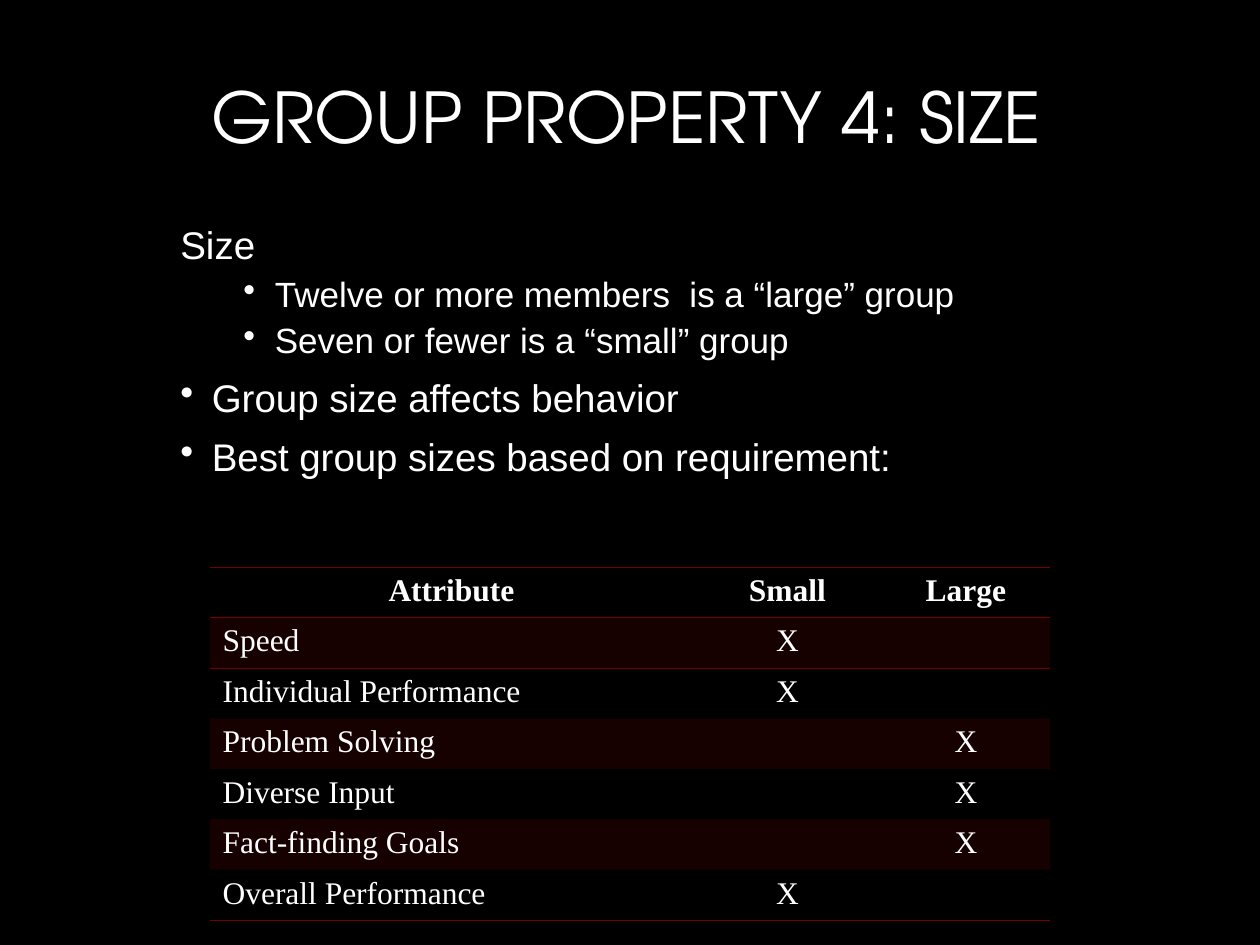
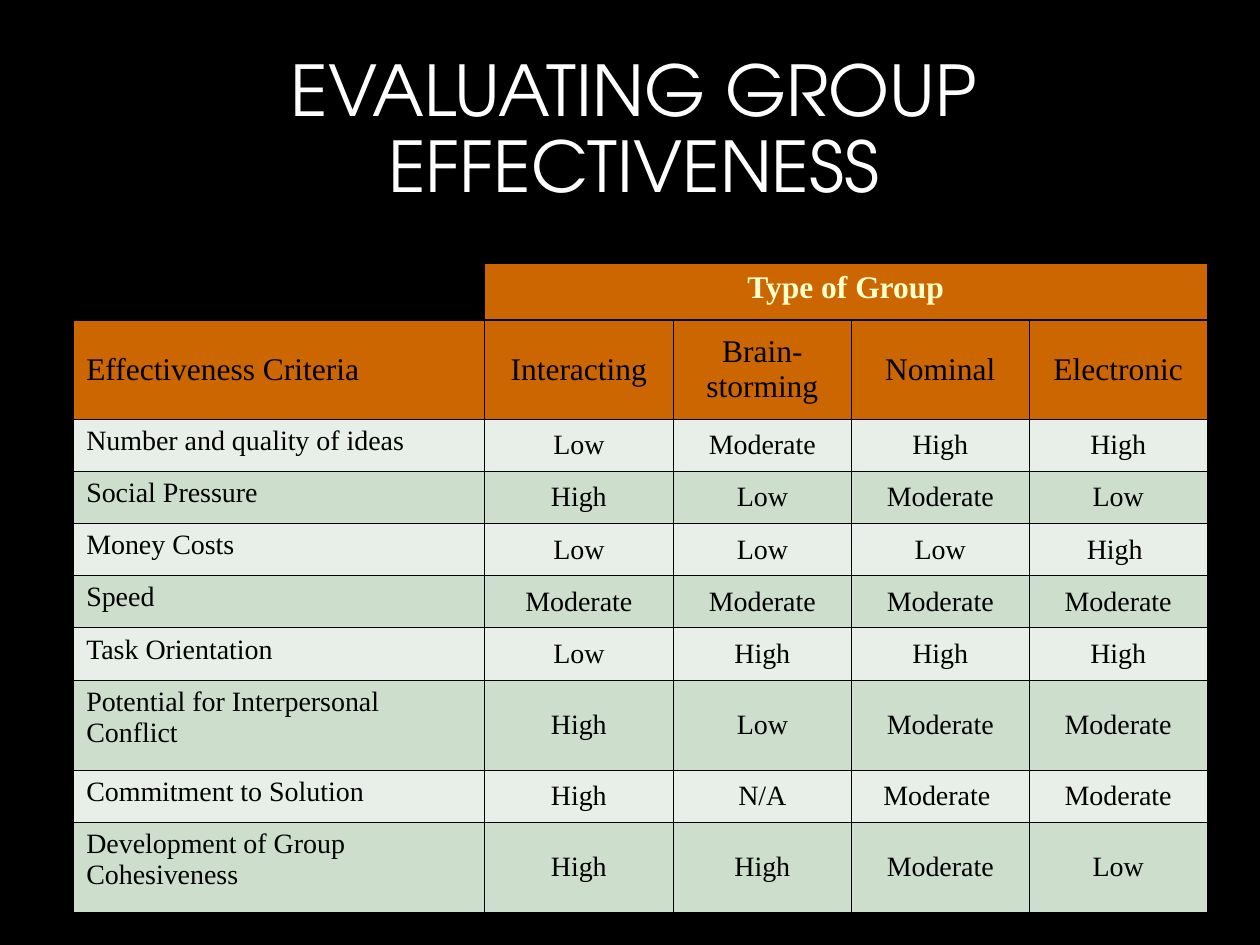
from lxml.etree import SubElement
from pptx import Presentation
from pptx.dml.color import RGBColor
from pptx.enum.text import MSO_ANCHOR as Anchor, PP_ALIGN as Align
from pptx.oxml.ns import qn
from pptx.util import Pt

BLACK = RGBColor(0x00, 0x00, 0x00)
WHITE = RGBColor(0xFF, 0xFF, 0xFF)
MAROON = RGBColor(0x73, 0x00, 0x00)
ORANGE = RGBColor(0xCC, 0x66, 0x00)
CREAM = RGBColor(0xFF, 0xFF, 0xCC)
PALE_GREEN = RGBColor(0xE8, 0xEF, 0xE8)
SOFT_GREEN = RGBColor(0xCD, 0xDE, 0xCD)
TITLE_FONT, BODY_FONT, TABLE_FONT = "TeX Gyre Adventor", "Arial", "Times New Roman"
PLAIN_TABLE = "{2D5ABB26-0587-4C30-8999-92F81FD0307C}"
THIN, THICK = 0.45, 1.47

SIZE_POINTS = [
    ("Size", 0, False),
    ("Twelve or more members  is a “large” group", 1, True),
    ("Seven or fewer is a “small” group", 1, True),
    ("Group size affects behavior", 0, True),
    ("Best group sizes based on requirement:", 0, True),
]
SIZE_ROWS = [
    ("Attribute", "Small", "Large"),
    ("Speed", "X", ""),
    ("Individual Performance", "X", ""),
    ("Problem Solving", "", "X"),
    ("Diverse Input", "", "X"),
    ("Fact-finding Goals", "", "X"),
    ("Overall Performance", "X", ""),
]
CRITERIA_ROWS = [
    ("", "Type of Group", "", "", ""),
    ("Effectiveness Criteria", "Interacting", "Brain-storming", "Nominal", "Electronic"),
    ("Number and quality of ideas", "Low", "Moderate", "High", "High"),
    ("Social Pressure", "High", "Low", "Moderate", "Low"),
    ("Money Costs", "Low", "Low", "Low", "High "),
    ("Speed", "Moderate", "Moderate", "Moderate", "Moderate"),
    ("Task Orientation", "Low", "High", "High", "High"),
    ("Potential for Interpersonal Conflict", "High", "Low", "Moderate", "Moderate"),
    ("Commitment to Solution", "High", "N/A", "Moderate ", "Moderate"),
    ("Development of Group Cohesiveness", "High", "High", "Moderate", "Low"),
]


def add_page(deck):
    """Add a blank black slide."""
    page = deck.slides.add_slide(deck.slide_layouts[6])
    page.background.fill.solid()
    page.background.fill.fore_color.rgb = BLACK
    return page


def style_runs(para, font, size, color, bold=False):
    """Format every run of a paragraph."""
    for span in para.runs:
        span.font.name = font
        span.font.size = Pt(size)
        span.font.color.rgb = color
        span.font.bold = bold


def add_title(page, text, left, top):
    """Add the centred slide title."""
    box = page.shapes.add_textbox(Pt(left), Pt(top), Pt(508.3), Pt(101.5))
    frame = box.text_frame
    frame.word_wrap = True
    frame.vertical_anchor = Anchor.MIDDLE
    frame.text = text
    para = frame.paragraphs[0]
    para.alignment = Align.CENTER
    para.line_spacing = 0.9
    style_runs(para, TITLE_FONT, 40, WHITE)


def add_bullet(para):
    """Give a paragraph a white round bullet."""
    props = para._p.get_or_add_pPr()
    color = SubElement(props, qn("a:buClr"))
    SubElement(color, qn("a:srgbClr"), val=str(WHITE))
    SubElement(props, qn("a:buChar"), char="•")


def add_points(page, points, left, top, width, height):
    """Add a text box of points on two levels."""
    box = page.shapes.add_textbox(Pt(left), Pt(top), Pt(width), Pt(height))
    frame = box.text_frame
    frame.word_wrap = True
    frame.text = "\n".join(text for text, level, bulleted in points)
    for index, (para, (text, level, bulleted)) in enumerate(zip(frame.paragraphs, points)):
        if bulleted:
            add_bullet(para)
        props = para._p.get_or_add_pPr()
        props.set("marL", str(Pt(18 + 36 * level)))
        props.set("indent", str(Pt(-18)))
        para.level = level
        para.line_spacing = 0.9
        if index:
            para.space_before = Pt(5 if level else 10)
        style_runs(para, BODY_FONT, 20 if level else 22, WHITE)


def add_plain_table(page, rows, left, top, widths, heights):
    """Add an unstyled table with the given column widths and row heights."""
    frame = page.shapes.add_table(len(rows), len(widths), Pt(left), Pt(top),
                                  Pt(sum(widths)), Pt(sum(heights)))
    table = frame.table
    table.first_row = table.horz_banding = False
    table._tbl.tblPr.find(qn("a:tableStyleId")).text = PLAIN_TABLE
    for column, width in zip(table.columns, widths):
        column.width = Pt(width)
    for row, height in zip(table.rows, heights):
        row.height = Pt(height)
    return table


def set_borders(cell, color, **widths):
    """Draw the named cell sides (L, R, T, B) at widths in points."""
    props = cell._tc.get_or_add_tcPr()
    for side in "LRTB":
        if side in widths:
            line = SubElement(props, qn(f"a:ln{side}"), w=str(Pt(widths[side])))
            fill = SubElement(line, qn("a:solidFill"))
            SubElement(fill, qn("a:srgbClr"), val=str(color))


def fill_cell(cell, color, alpha=None):
    """Fill a cell, with an optional opacity in percent."""
    cell.fill.solid()
    cell.fill.fore_color.rgb = color
    if alpha is not None:
        value = cell._tc.tcPr.find(f"{qn('a:solidFill')}/{qn('a:srgbClr')}")
        SubElement(value, qn("a:alpha"), val=str(alpha * 1000))


def write_cell(cell, text, size, color, centred, bold=False):
    """Write one cell in the table font."""
    cell.text_frame.text = text
    para = cell.text_frame.paragraphs[0]
    para.alignment = Align.CENTER if centred else Align.LEFT
    style_runs(para, TABLE_FONT, size, color, bold)
    if not text:
        para._p.get_or_add_endParaRPr().set("sz", str(size * 100))


def add_size_table(page):
    """Add the table of best group sizes."""
    last = len(SIZE_ROWS) - 1
    table = add_plain_table(page, SIZE_ROWS, 120, 324, (276, 108, 96), [28.8] * len(SIZE_ROWS))
    for r, row in enumerate(SIZE_ROWS):
        sides = {0: {"T": THIN, "B": THIN}, 1: {"T": THIN}, last: {"B": THIN}}.get(r, {})
        for c, text in enumerate(row):
            cell = table.cell(r, c)
            set_borders(cell, MAROON, **sides)
            if r % 2:
                fill_cell(cell, MAROON, 20)
            else:
                cell.fill.background()
            size = 18 if text else 16
            write_cell(cell, text, size, WHITE, r == 0 or c > 0, r == 0)


def add_criteria_table(page):
    """Add the table that rates group types by criterion."""
    low, tall = 29.8, 51.6
    heights = [32.3, 56.6] + [low] * 5 + [tall, low, tall]
    widths = [234.7, 108] + [101.7] * 3
    table = add_plain_table(page, CRITERIA_ROWS, 42.1, 150.7, widths, heights)
    for r, row in enumerate(CRITERIA_ROWS):
        for c, text in enumerate(row):
            cell = table.cell(r, c)
            set_borders(cell, BLACK, L=THIN, R=THIN, T=THICK if r == 1 else THIN,
                        B=THICK if r == 0 else THIN)
            if r < 2:
                fill_cell(cell, ORANGE if r or c else BLACK)
            else:
                fill_cell(cell, SOFT_GREEN if r % 2 else PALE_GREEN)
            write_cell(cell, text, 18 if r < 2 else 16, BLACK if r else CREAM, c > 0, r == 0)
            if r == 1 or (r > 1 and c > 0):
                cell.vertical_anchor = Anchor.MIDDLE
    table.cell(0, 1).merge(table.cell(0, 4))


def main():
    """Build and save the deck."""
    deck = Presentation()
    deck.slide_width, deck.slide_height = Pt(720), Pt(540)

    page = add_page(deck)
    add_title(page, "GROUP PROPERTY 4: SIZE", 103.7, 18)
    add_points(page, SIZE_POINTS, 96, 126, 612, 174)
    add_size_table(page)

    page = add_page(deck)
    add_title(page, "EVALUATING GROUP EFFECTIVENESS", 108, 24.5)
    add_criteria_table(page)

    deck.save("out.pptx")


if __name__ == "__main__":
    main()
